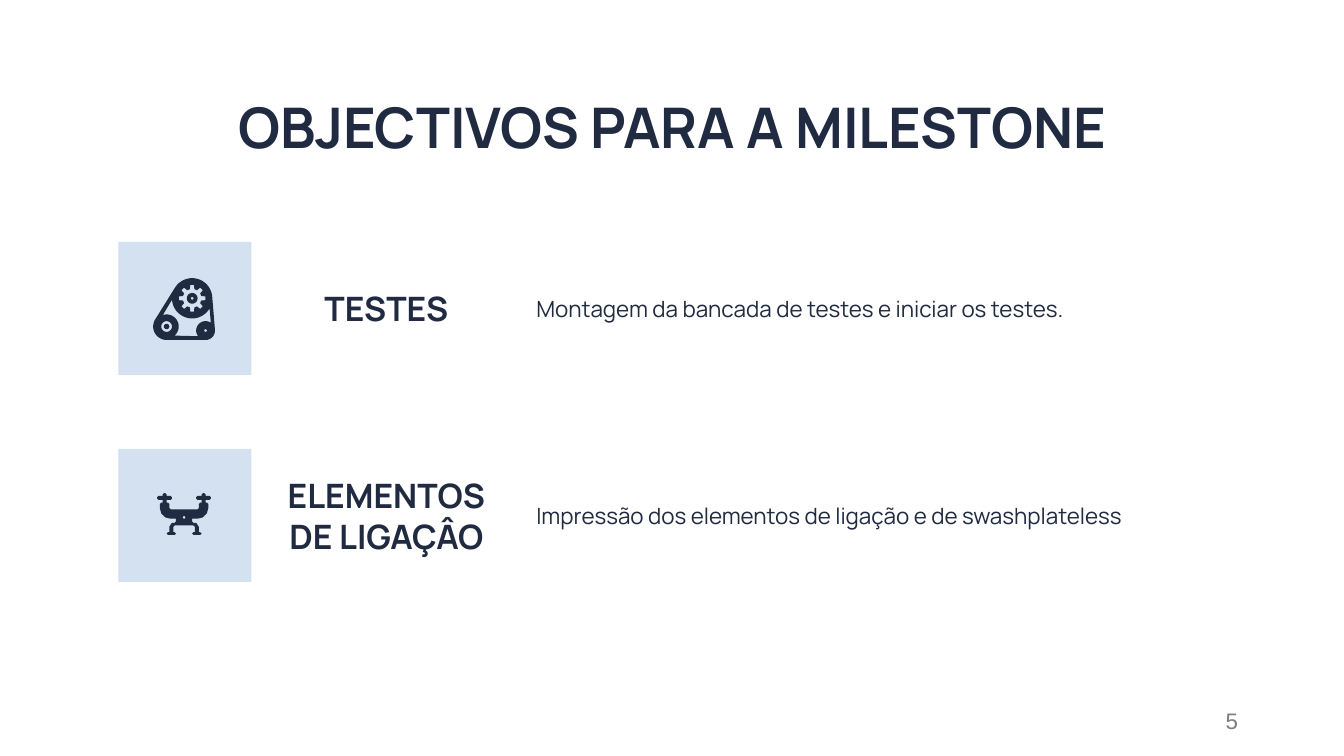
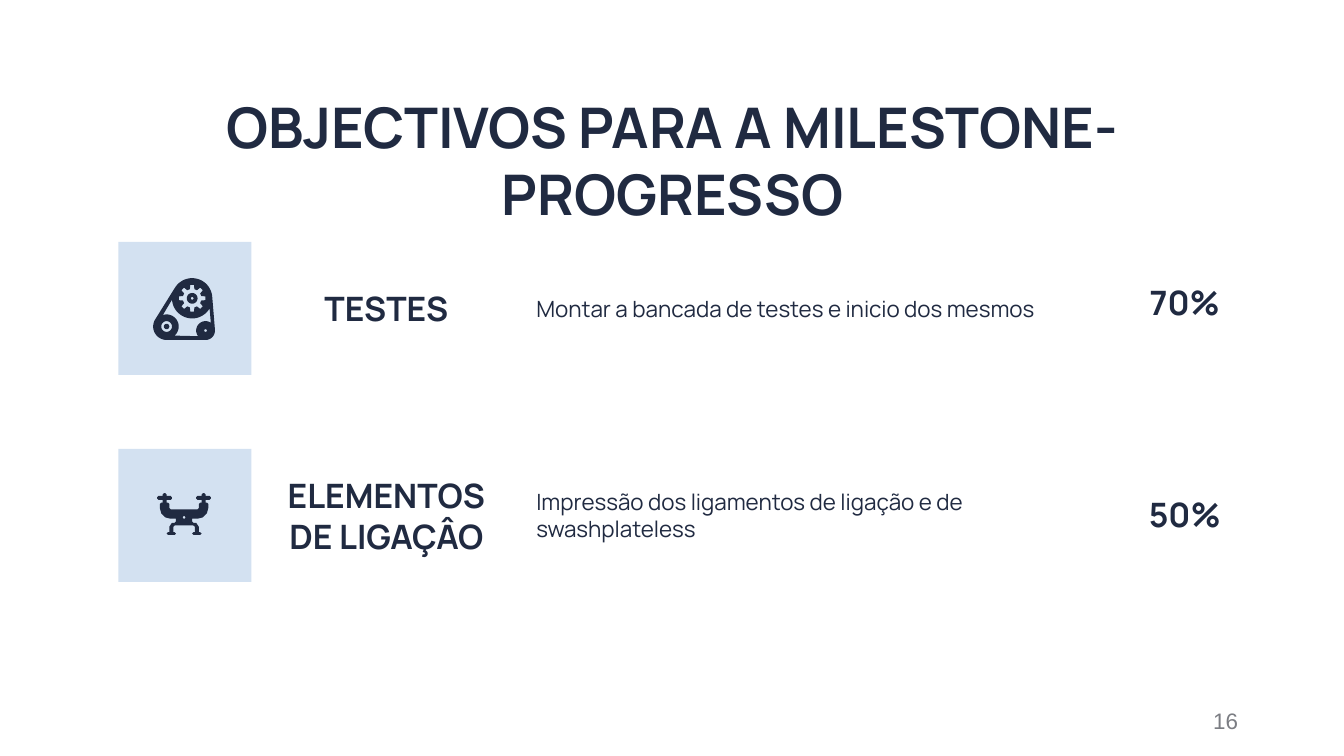
from dataclasses import dataclass
from math import cos, radians, sin

from pptx import Presentation
from pptx import util as u
from pptx.dml.color import RGBColor
from pptx.enum import shapes, text
from pptx.oxml.ns import qn


@dataclass(frozen=True)
class Theme:
    ink = RGBColor.from_string("202A41")
    tile = RGBColor.from_string("D3E1F1")
    grey = RGBColor.from_string("7B7D83")
    title = {"name": "Manrope", "size": u.Pt(30), "bold": True}
    heading = {"name": "Manrope", "size": u.Pt(18), "bold": True}
    body = {"name": "Manrope", "size": u.Pt(12), "bold": False}
    number = {"name": "Arial", "size": u.Pt(12), "bold": False}


THEME = Theme()
LEFT, CENTER, RIGHT = text.PP_ALIGN.LEFT, text.PP_ALIGN.CENTER, text.PP_ALIGN.RIGHT
TOP, MIDDLE = text.MSO_ANCHOR.TOP, text.MSO_ANCHOR.MIDDLE
SLIDE_WIDTH = u.Inches(10)
SLIDE_HEIGHT = SLIDE_WIDTH * 9 // 16
TITLE_BOX = (0.79, 0.59, 8.43, 0.63)
NUMBER_BOX = (7.06, 5.21, 2.25, 0.3)
ROW_TOP, ROW_STEP, ROW_HEIGHT = 1.8, 1.54, 0.99
TILE_LEFT, HEADING_LEFT, BODY_LEFT, PROGRESS_LEFT = 0.88, 2.03, 3.89, 7.97
HEADING_WIDTH = 1.69


def write(shape, words, style, align, anchor=MIDDLE, color=THEME.ink):
    frame = shape.text_frame
    settings = {"word_wrap": True, "auto_size": text.MSO_AUTO_SIZE.NONE,
                "vertical_anchor": anchor}
    for side in ("left", "right", "top", "bottom"):
        settings[f"margin_{side}"] = u.Inches(0.1)
    for name, value in settings.items():
        setattr(frame, name, value)
    frame.text = words
    paragraph = frame.paragraphs[0]
    properties = paragraph._p.get_or_add_pPr()
    properties.set("marL", "0")
    properties.set("indent", "0")
    properties.append(properties.makeelement(qn("a:buNone"), {}))
    paragraph.alignment = align
    paragraph.space_before = u.Pt(0)
    font = paragraph.runs[0].font
    for name, value in style.items():
        setattr(font, name, value)
    font.color.rgb = color


def place(shape, box):
    for name, value in zip(("left", "top", "width", "height"), box):
        setattr(shape, name, u.Inches(value))
    return shape


def add_text(slide, box, *args, **kwargs):
    write(slide.shapes.add_textbox(*map(u.Inches, box)), *args, **kwargs)


def paint(shape, color):
    shape.shadow.inherit = False
    shape.fill.solid()
    shape.fill.fore_color.rgb = color
    shape.line.fill.background()


def arc(center, radius, start=0, end=360, steps=24):
    angles = [radians(start + (end - start) * i / steps) for i in range(steps + 1)]
    return [(center[0] + radius * cos(a), center[1] + radius * sin(a)) for a in angles]


def gear(center, root, tip, teeth=8):
    points = []
    for tooth in range(teeth):
        middle = tooth * 360 / teeth
        for radius, turn in ((root, -14), (tip, -8), (tip, 8), (root, 14)):
            points += arc(center, radius, middle + turn, middle + turn, 1)[:1]
    return points


def draw_outline(parent, origin, contours):
    """Fill closed contours, in inches from origin, as one shape; inner ones are holes."""
    scaled = [[(u.Inches(origin[0] + x), u.Inches(origin[1] + y)) for x, y in contour]
              for contour in contours]
    builder = parent.build_freeform(*scaled[0][0], scale=1.0)
    for index, contour in enumerate(scaled):
        if index:
            builder.move_to(*contour[0])
        builder.add_line_segments(contour[1:], close=True)
    paint(builder.convert_to_shape(), THEME.ink)


def draw_belt(slide, origin):
    wheel, left, right = (0.55, 0.42), (0.36, 0.63), (0.65, 0.66)
    belt = arc(wheel, 0.15, 211, 354) + arc(right, 0.07, -6, 90) + arc(left, 0.1, 90, 211)
    gap = (arc(wheel, 0.15, 176, 30) + arc(right, 0.07, -56, -217)
           + arc(left, 0.09, 49, -108))
    group = slide.shapes.add_group_shape().shapes
    draw_outline(group, origin, [arc(wheel, 0.04), arc(wheel, 0.01)])
    draw_outline(group, origin, [arc(left, 0.02)])
    draw_outline(group, origin, [belt, gap, gear(wheel, 0.07, 0.1),
                                 arc(left, 0.04), arc(right, 0.01)])


def draw_drone(slide, origin):
    middle = 0.49
    half = [(0, 0.45), (0.1, 0.45), (0.11, 0.44), (0.11, 0.41), (0.12, 0.4), (0.13, 0.4),
            (0.13, 0.38), (0.1, 0.38), (0.09, 0.37), (0.09, 0.36), (0.1, 0.35),
            (0.13, 0.35), (0.13, 0.34), (0.14, 0.33), (0.15, 0.33), (0.16, 0.34),
            (0.16, 0.35), (0.19, 0.35), (0.2, 0.36), (0.2, 0.37), (0.19, 0.38),
            (0.16, 0.38), (0.16, 0.4), (0.17, 0.4), (0.18, 0.41), (0.18, 0.44),
            (0.17, 0.48), (0.14, 0.51), (0.1, 0.52), (0.06, 0.52), (0.06, 0.54),
            (0.07, 0.55), (0.09, 0.55), (0.11, 0.58), (0.11, 0.62), (0.12, 0.62),
            (0.13, 0.63), (0.12, 0.64), (0.07, 0.64), (0.06, 0.63), (0.07, 0.62),
            (0.08, 0.62), (0.08, 0.58), (0.07, 0.57), (0, 0.57)]
    body = ([(middle + x, y) for x, y in half]
            + [(middle - x, y) for x, y in reversed(half)])
    draw_outline(slide.shapes, origin, [body, arc((middle, 0.51), 0.01)])


def add_goal_row(slide, top, holders, goal, body_width):
    heading, body, draw_icon = goal
    tile = slide.shapes.add_shape(
        shapes.MSO_SHAPE.RECTANGLE,
        *map(u.Inches, (TILE_LEFT, top, ROW_HEIGHT, ROW_HEIGHT)))
    paint(tile, THEME.tile)
    draw_icon(slide, (TILE_LEFT, top))
    heading_holder, body_holder = holders
    place(heading_holder, (HEADING_LEFT, top, HEADING_WIDTH, ROW_HEIGHT))
    write(heading_holder, heading, THEME.heading, CENTER)
    place(body_holder, (BODY_LEFT, top, body_width, ROW_HEIGHT))
    write(body_holder, body, THEME.body, LEFT)


def add_goals_slide(presentation, title, number, bodies, body_width, progress=()):
    slide = presentation.slides.add_slide(presentation.slide_layouts.get_by_name("Comparison"))
    title_holder, *holders = slide.placeholders
    write(place(title_holder, TITLE_BOX), title, THEME.title, CENTER, TOP)
    headings = ("TESTES", "ELEMENTOS DE LIGAÇÂO")
    for row, goal in enumerate(zip(headings, bodies, (draw_belt, draw_drone))):
        add_goal_row(slide, ROW_TOP + row * ROW_STEP, holders[2 * row:2 * row + 2],
                     goal, body_width)
    for top, share in progress:
        add_text(slide, (PROGRESS_LEFT, top, HEADING_WIDTH, ROW_HEIGHT),
                 share, THEME.heading, CENTER)
    add_text(slide, NUMBER_BOX, number, THEME.number, RIGHT, color=THEME.grey)


def main():
    presentation = Presentation()
    presentation.slide_width, presentation.slide_height = SLIDE_WIDTH, SLIDE_HEIGHT
    add_goals_slide(
        presentation, "OBJECTIVOS PARA A MILESTONE", "5",
        ("Montagem da bancada de testes e iniciar os testes.",
         "Impressão dos elementos de ligação e de swashplateless"), 5.24)
    add_goals_slide(
        presentation, "OBJECTIVOS PARA A MILESTONE-PROGRESSO", "16",
        ("Montar a bancada de testes e inicio dos mesmos",
         "Impressão dos ligamentos de ligação e de swashplateless"), 4.08,
        ((1.75, "70%"), (3.33, "50%")))
    presentation.save("out.pptx")


if __name__ == "__main__":
    main()
